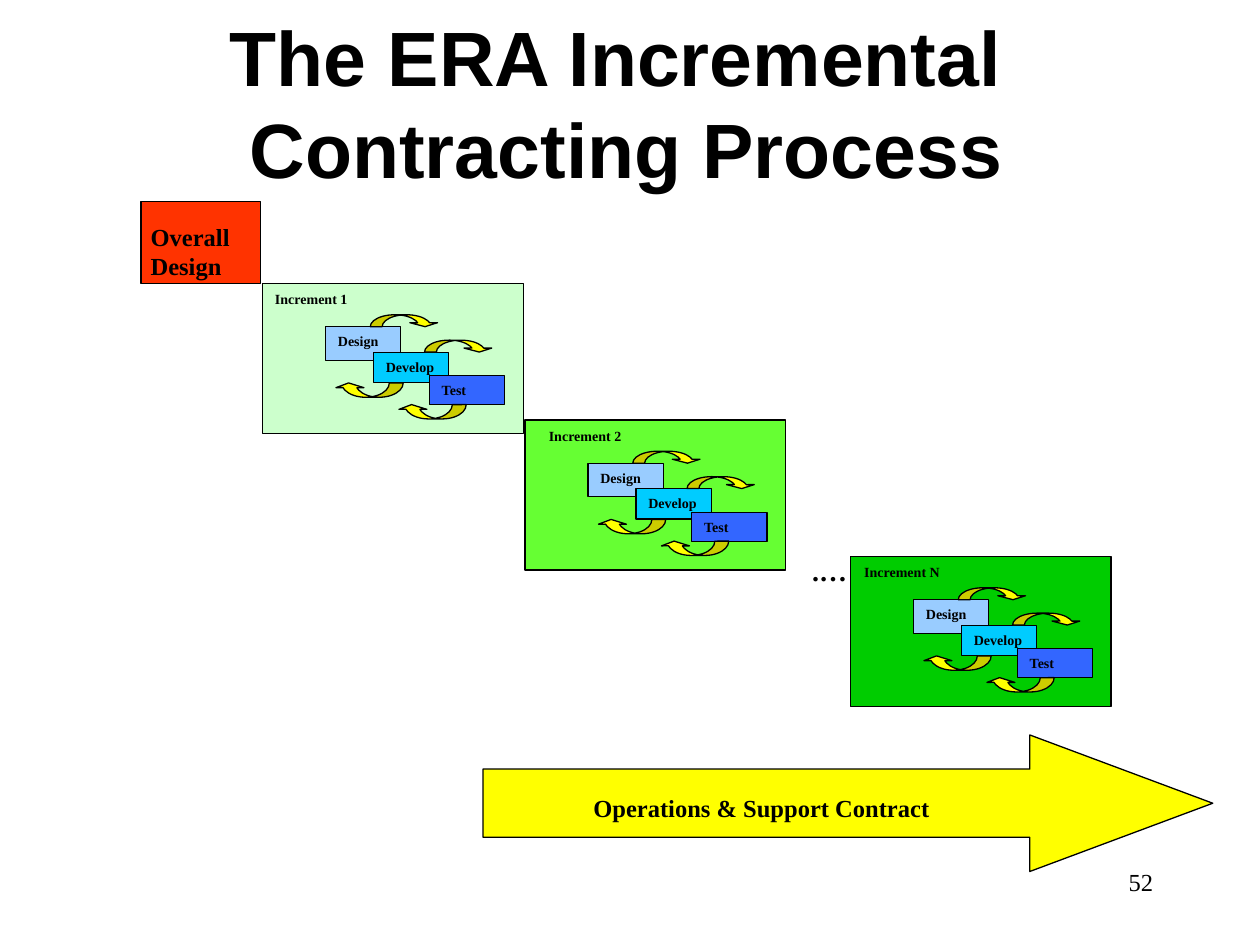
from pptx import Presentation
from pptx.dml.color import RGBColor
from pptx.enum.shapes import MSO_SHAPE
from pptx.enum.text import MSO_ANCHOR, PP_ALIGN
from pptx.util import Pt

BLACK = RGBColor(0x00, 0x00, 0x00)
RED = RGBColor(0xFF, 0x33, 0x00)
YELLOW = RGBColor(0xFF, 0xFF, 0x00)
PALE_GREEN = RGBColor(0xCC, 0xFF, 0xCC)
LIME = RGBColor(0x66, 0xFF, 0x33)
GREEN = RGBColor(0x00, 0xCC, 0x00)
LIGHT_BLUE = RGBColor(0x99, 0xCC, 0xFF)
SKY_BLUE = RGBColor(0x00, 0xCC, 0xFF)
BLUE = RGBColor(0x33, 0x66, 0xFF)

HEADING_FONT = "Arial"
BODY_FONT = "Times New Roman"

INCREMENT_SIZE = (149, 85.7)
STEP_WIDTH = 43

# name, colour, left, top, height; relative to the increment box
STEPS = [
    ("Design", LIGHT_BLUE, 36, 24.7, 19.2),
    ("Develop", SKY_BLUE, 63.4, 39.3, 17.4),
    ("Test", BLUE, 95.3, 52.7, 16.6),
]

# left, top, height, rotation, (stem, head width, head length)
FORWARD = (6.8, 0, (1.17, 2.33, 0.33))
BACK = (8.2, 180, (0.97, 1.95, 0.33))
LOOPS = [
    (61.6, 17.9, *FORWARD),
    (92.6, 32.4, *FORWARD),
    (77.2, 69.2, *BACK),
    (41.2, 56.8, *BACK),
]
LOOP_WIDTH = 39.2

# name, colour, left, top, label indent
INCREMENTS = [
    ("Increment 1", PALE_GREEN, 150, 162, 0),
    ("Increment 2", LIME, 300, 240, 6.5),
    ("Increment N", GREEN, 486, 318, 0.7),
]


def add_block(shapes, kind, box, color, adjustments=()):
    block = shapes.add_shape(kind, *(Pt(v) for v in box))
    block.shadow.inherit = False
    block.fill.solid()
    block.fill.fore_color.rgb = color
    block.line.color.rgb = BLACK
    block.line.width = Pt(0.75)
    for i, value in enumerate(adjustments):
        block.adjustments[i] = value
    return block


def format_run(run, size, font=BODY_FONT, bold=True):
    run.font.name = font
    run.font.size = Pt(size)
    run.font.bold = bold
    run.font.color.rgb = BLACK


def add_label(shapes, box, text, size, bold=True, align=PP_ALIGN.LEFT):
    frame = shapes.add_textbox(*(Pt(v) for v in box)).text_frame
    frame.word_wrap = True
    paragraph = frame.paragraphs[0]
    paragraph.alignment = align
    run = paragraph.add_run()
    run.text = text
    format_run(run, size, bold=bold)


def add_title(slide, box):
    title = slide.shapes.title
    title.left, title.top, title.width, title.height = (Pt(v) for v in box)
    frame = title.text_frame
    frame.word_wrap = True
    frame.vertical_anchor = MSO_ANCHOR.MIDDLE
    paragraph = frame.paragraphs[0]
    paragraph.alignment = PP_ALIGN.CENTER
    first = paragraph.add_run()
    first.text = "The ERA Incremental "
    paragraph.add_line_break()
    second = paragraph.add_run()
    second.text = "Contracting Process"
    for run in (first, second):
        format_run(run, 44, HEADING_FONT)


def add_increment(slide, name, color, left, top, label_indent):
    """Place one increment box with its design, develop and test cycle."""
    shapes = slide.shapes.add_group_shape().shapes
    add_block(shapes, MSO_SHAPE.RECTANGLE, (left, top, *INCREMENT_SIZE), color)
    for step, step_color, dx, dy, height in STEPS:
        x, y = left + dx, top + dy
        add_block(shapes, MSO_SHAPE.RECTANGLE, (x, y, STEP_WIDTH, height), step_color)
        add_label(shapes, (x, y, STEP_WIDTH, 15), step, 8)
    for dx, dy, height, rotation, adjustments in LOOPS:
        loop = add_block(shapes, MSO_SHAPE.CURVED_DOWN_ARROW,
                         (left + dx, top + dy, LOOP_WIDTH, height), YELLOW, adjustments)
        loop.rotation = rotation
    add_label(shapes, (left + label_indent, top + 0.5, 60, 16), name, 8)


def add_overall_design(slide, left, top):
    shapes = slide.shapes.add_group_shape().shapes
    add_block(shapes, MSO_SHAPE.RECTANGLE, (left, top, 68.5, 46.8), RED)
    add_label(shapes, (left - 1.5, top + 8, 72, 39.6), "Overall Design", 14)


def add_support_contract(slide, left, top):
    shapes = slide.shapes.add_group_shape().shapes
    add_block(shapes, MSO_SHAPE.RIGHT_ARROW, (left, top, 417, 78), YELLOW, (0.5, 1.34))
    add_label(shapes, (left + 56, top + 29.5, 274, 22), "Operations & Support Contract", 14)


def main():
    prs = Presentation()
    prs.slide_width, prs.slide_height = Pt(720), Pt(540)
    slide = prs.slides.add_slide(prs.slide_layouts[5])
    add_title(slide, (18, 13, 680, 90))
    for increment in INCREMENTS:
        add_increment(slide, *increment)
    add_overall_design(slide, 80.5, 115.2)
    add_support_contract(slide, 276, 420)
    add_label(slide.shapes, (457, 313, 42, 27), ".…", 16)
    add_label(slide.shapes, (516, 492, 150, 36), "52", 14, bold=False, align=PP_ALIGN.RIGHT)
    prs.save("out.pptx")


if __name__ == "__main__":
    main()
